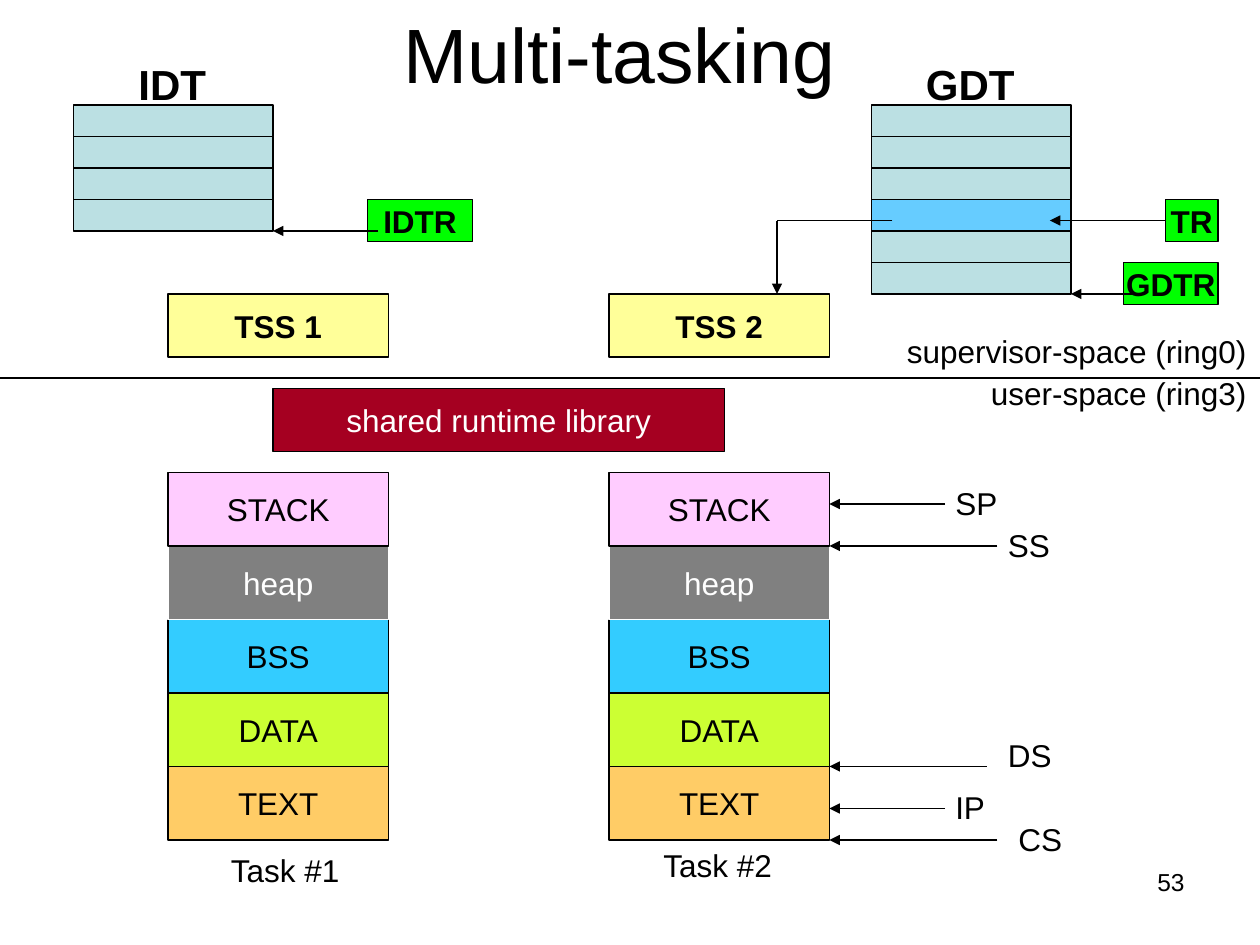
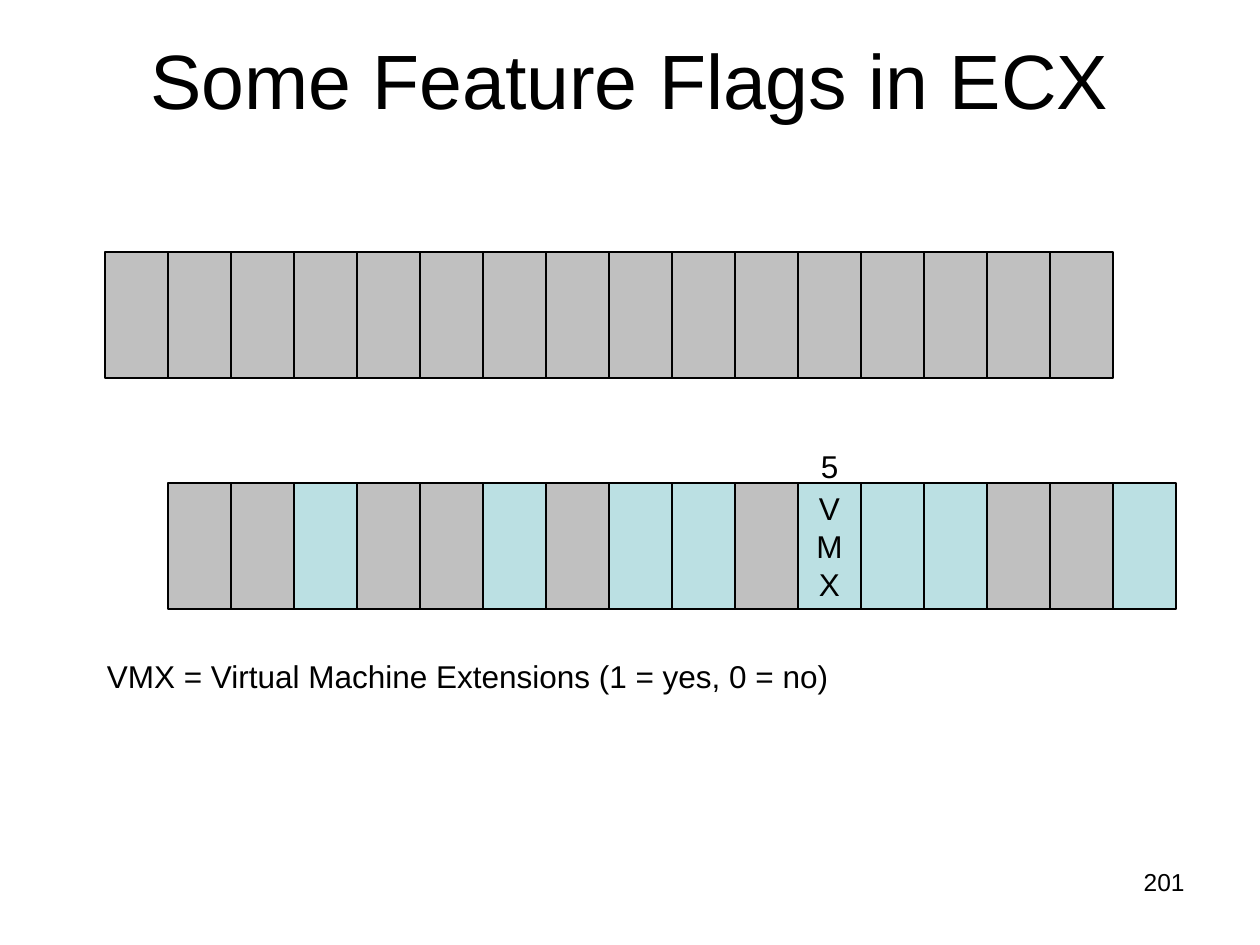
from dataclasses import dataclass
from typing import NamedTuple, Optional

from pptx import Presentation
from pptx.dml.color import RGBColor as Rgb
from pptx.enum.shapes import MSO_CONNECTOR as Link, MSO_SHAPE as Preset
from pptx.enum.text import MSO_ANCHOR as Anchor, MSO_AUTO_SIZE as Fit, PP_ALIGN as Align
from pptx.oxml.ns import qn
from pptx.shapes.autoshape import Shape
from pptx.slide import Slide
from pptx.text.text import TextFrame
from pptx.util import Emu, Pt
from lxml.etree import SubElement

PX = 7620
LEFT_SIDE = 1


@dataclass(frozen=True)
class Theme:
    font: str = "Arial"
    ink: str = "000000"
    paper: str = "FFFFFF"
    pale: str = "BBE0E3"
    selected: str = "66CCFF"
    register: str = "00FF00"
    tss: str = "FFFF99"
    library: str = "A50021"
    text: str = "FFCC66"
    data: str = "CCFF33"
    bss: str = "33CCFF"
    heap: str = "808080"
    stack: str = "FFCCFF"
    reserved: str = "C0C0C0"
    title_size: int = 44
    heading_size: int = 24
    body_size: int = 18
    number_size: int = 14
    line_width: float = 0.75


T = Theme()


class Area(NamedTuple):
    x: int
    y: int
    w: int
    h: int


class Box(NamedTuple):
    area: Area
    fill: str
    text: str = ""
    bold: bool = False
    color: str = T.ink
    line: str = T.ink


class Label(NamedTuple):
    text: str
    x: int
    y: int
    w: int
    h: int = 48
    size: int = T.body_size
    bold: bool = False


class Arrow(NamedTuple):
    x1: int
    y1: int
    x2: int
    y2: int
    head: bool = True


class Segment(NamedTuple):
    name: str
    fill: str
    color: str = T.ink
    line: str = T.ink


def px(n: int) -> Emu:
    return Emu(n * PX)


def rgb(value: str) -> Rgb:
    return Rgb.from_string(value)


def write(tf: TextFrame, text: str, size: int, bold: bool = False,
          color: str = T.ink, align: Align = Align.LEFT) -> None:
    tf.text = text
    for p in tf.paragraphs:
        p.alignment = align
        for r in p.runs:
            r.font.name = T.font
            r.font.size = Pt(size)
            r.font.bold = bold
            r.font.color.rgb = rgb(color)


def add_box(s: Slide, box: Box) -> Shape:
    sp = s.shapes.add_shape(Preset.RECTANGLE, *map(px, box.area))
    sp.shadow.inherit = False
    sp.fill.solid()
    sp.fill.fore_color.rgb = rgb(box.fill)
    sp.line.color.rgb = rgb(box.line)
    sp.line.width = Pt(T.line_width)
    if box.text:
        tf = sp.text_frame
        tf.word_wrap = False
        tf.vertical_anchor = Anchor.MIDDLE
        write(tf, box.text, T.body_size, box.bold, box.color, Align.CENTER)
    return sp


def add_label(s: Slide, label: Label) -> None:
    sp = s.shapes.add_textbox(px(label.x), px(label.y), px(label.w), px(label.h))
    tf = sp.text_frame
    tf.word_wrap = False
    tf.auto_size = Fit.SHAPE_TO_FIT_TEXT
    write(tf, label.text, label.size, label.bold)


def add_arrow(s: Slide, arrow: Arrow, start: Optional[Shape] = None) -> None:
    c = s.shapes.add_connector(Link.STRAIGHT, px(arrow.x1), px(arrow.y1),
                               px(arrow.x2), px(arrow.y2))
    if start is not None:
        c.begin_connect(start, LEFT_SIDE)
    c.line.color.rgb = rgb(T.ink)
    c.line.width = Pt(T.line_width)
    props = c.element.spPr
    if arrow.head:
        SubElement(props.find(qn("a:ln")), qn("a:tailEnd"), type="triangle")
    SubElement(props, qn("a:effectLst"))


def add_slide(prs: Presentation, title: str, area: Area, number: int) -> Slide:
    s = prs.slides.add_slide(prs.slide_layouts[5])
    sp = s.shapes.title
    sp.left, sp.top, sp.width, sp.height = map(px, area)
    tf = sp.text_frame
    tf.auto_size = Fit.NONE
    tf.vertical_anchor = Anchor.MIDDLE
    write(tf, title, T.title_size, align=Align.CENTER)
    num = s.shapes.add_textbox(px(860), px(820), px(280), px(62)).text_frame
    num.word_wrap = True
    write(num, str(number), T.number_size, align=Align.RIGHT)
    return s


def add_descriptors(s: Slide, x: int, fills: list[str]) -> None:
    for i, fill in enumerate(fills):
        add_box(s, Box(Area(x, 100 + 30 * i, 190, 30), fill))


def add_task(s: Slide, x: int, number: int) -> None:
    segments = [
        Segment("TEXT", T.text),
        Segment("DATA", T.data),
        Segment("BSS", T.bss),
        Segment("heap", T.heap, T.paper, T.paper),
        Segment("STACK", T.stack),
    ]
    for i, seg in enumerate(segments):
        area = Area(x, 730 - 70 * i, 210, 70)
        add_box(s, Box(area, seg.fill, seg.name, False, seg.color, seg.line))
    add_box(s, Box(Area(x, 280, 210, 60), T.tss, f"TSS {number}", True))


def build_multitasking(prs: Presentation) -> None:
    s = add_slide(prs, "Multi-tasking", Area(50, 0, 1080, 100), 53)
    for number, x in enumerate((160, 580), 1):
        add_task(s, x, number)
    add_box(s, Box(Area(260, 370, 430, 60), T.library,
                   "shared runtime library", color=T.paper))
    add_descriptors(s, 70, [T.pale] * 4)
    add_descriptors(s, 830, [T.pale] * 3 + [T.selected] + [T.pale] * 2)

    add_box(s, Box(Area(350, 190, 100, 40), T.register, "IDTR", True))
    add_box(s, Box(Area(1070, 250, 90, 40), T.register, "GDTR", True))
    tr = add_box(s, Box(Area(1110, 190, 50, 40), T.register, "TR", True))
    add_arrow(s, Arrow(1110, 210, 1000, 210), tr)

    arrows = [
        Arrow(0, 360, 1200, 360, False),
        Arrow(360, 220, 260, 220),
        Arrow(1090, 280, 1020, 280),
        Arrow(850, 210, 740, 210, False),
        Arrow(740, 210, 740, 280),
    ]
    pointers = [(900, 480), (950, 520), (940, 730), (900, 770), (950, 800)]
    arrows += [Arrow(x, y, 790, y) for x, y in pointers]
    for arrow in arrows:
        add_arrow(s, arrow)

    labels = [
        Label("IDT", 120, 50, 92, 60, T.heading_size, True),
        Label("GDT", 870, 50, 114, 60, T.heading_size, True),
        Label("supervisor-space (ring0)", 852, 310, 348),
        Label("user-space (ring3)", 932, 350, 268),
        Label("SP", 898, 455, 64),
        Label("SS", 948, 495, 64),
        Label("DS", 948, 695, 66),
        Label("IP", 898, 745, 53),
        Label("CS", 958, 775, 66),
        Label("Task #1", 208, 805, 131),
        Label("Task #2", 620, 800, 131),
    ]
    for label in labels:
        add_label(s, label)


def build_feature_flags(prs: Presentation) -> None:
    s = add_slide(prs, "Some Feature Flags in ECX", Area(60, 0, 1080, 150), 201)
    bits = 16
    used = {13, 10, 8, 7, 5, 4, 3, 0}
    vmx = 5
    for i in range(bits):
        add_box(s, Box(Area(100 + 60 * i, 240, 60, 120), T.reserved))
    for i in range(bits):
        bit = bits - 1 - i
        fill = T.pale if bit in used else T.reserved
        text = "V\nM\nX" if bit == vmx else ""
        add_box(s, Box(Area(160 + 60 * i, 460, 60, 120), fill, text))
    add_label(s, Label(str(vmx), 770, 420, 41))
    add_label(s, Label("VMX = Virtual Machine Extensions (1 = yes, 0 = no)", 90, 620, 712))


def main() -> None:
    prs = Presentation()
    prs.slide_width, prs.slide_height = px(1200), px(900)
    build_multitasking(prs)
    build_feature_flags(prs)
    prs.save("out.pptx")


if __name__ == "__main__":
    main()
